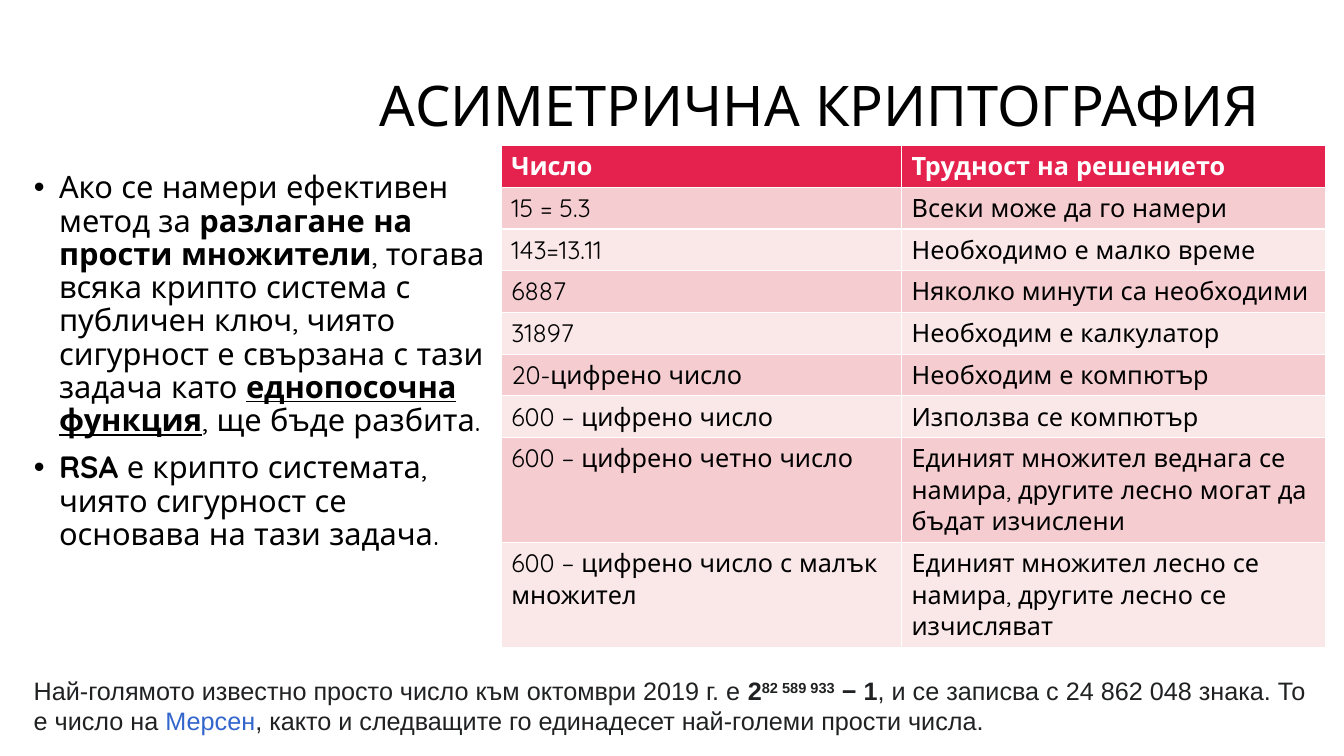
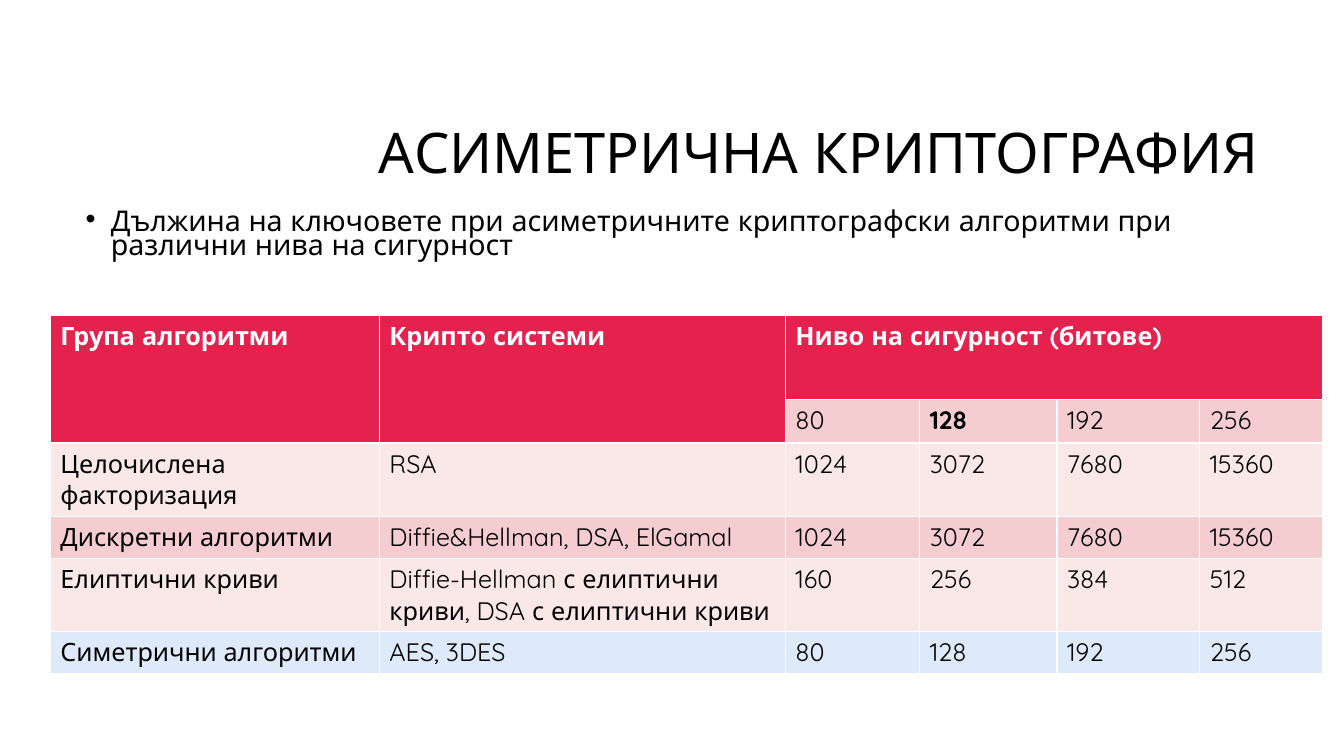
from pptx import Presentation
from pptx.dml.color import RGBColor
from pptx.enum.text import MSO_ANCHOR, MSO_AUTO_SIZE, PP_ALIGN
from pptx.util import Pt

FONT = "Quicksand"
BLACK, WHITE, INK, LINK = "000000", "FFFFFF", "202122", "3366CC"
HEADER, BAND_DARK, BAND_LIGHT, BAND_BLUE = "E5224E", "F5CDD0", "FAE8E9", "DEE9F9"
TITLE = "АСИМЕТРИЧНА КРИПТОГРАФИЯ"

DIFFICULTY = [
    ["Число", "Трудност на решението"],
    ["15 = 5.3", "Всеки може да го намери"],
    ["143=13.11", "Необходимо е малко време"],
    ["6887", "Няколко минути са необходими"],
    ["31897", "Необходим е калкулатор"],
    ["20-цифрено число", "Необходим е компютър"],
    ["600 – цифрено число", "Използва се компютър"],
    ["600 – цифрено четно число",
     "Единият множител веднага се намира, другите лесно могат да бъдат изчислени"],
    ["600 – цифрено число с малък множител",
     "Единият множител лесно се намира, другите лесно се изчисляват"],
]
KEY_LENGTHS = [
    ["Група алгоритми", "Крипто системи", "Ниво на сигурност (битове)", "", "", ""],
    ["", "", "80", "128", "192", "256"],
    ["Целочислена факторизация", "RSA", "1024", "3072", "7680", "15360"],
    ["Дискретни алгоритми", "Diffie&Hellman, DSA, ElGamal", "1024", "3072", "7680", "15360"],
    ["Елиптични криви", "Diffie-Hellman с елиптични криви, DSA с елиптични криви",
     "160", "256", "384", "512"],
    ["Симетрични алгоритми", "AES, 3DES", "80", "128", "192", "256"],
]


def rgb(value):
    """Turn a hex string into a colour."""
    return RGBColor.from_string(value)


def add_run(p, text, size, color=BLACK, font=FONT, bold=False, underline=False, raised=False):
    """Add one formatted run to a paragraph."""
    r = p.add_run()
    r.text = text
    r.font.name, r.font.size, r.font.bold = font, Pt(size), bold
    r.font.color.rgb = rgb(color)
    if underline:
        r.font.underline = True
    if raised:
        r._r.get_or_add_rPr().set("baseline", "30000")


def place(sp, box):
    """Move a shape to a box given in points."""
    sp.left, sp.top, sp.width, sp.height = (Pt(v) for v in box)


def add_title(s, box):
    """Fill the title placeholder, right-aligned in its box."""
    sp = s.shapes.title
    place(sp, box)
    tf = sp.text_frame
    tf.auto_size, tf.vertical_anchor = MSO_AUTO_SIZE.NONE, MSO_ANCHOR.MIDDLE
    p = tf.paragraphs[0]
    p.alignment, p.line_spacing = PP_ALIGN.RIGHT, 0.9
    add_run(p, TITLE, 40)


def add_bullets(s, box, items, size, spacing):
    """Fill the body placeholder with bulleted paragraphs of runs."""
    sp = s.placeholders[1]
    place(sp, box)
    tf = sp.text_frame
    tf.auto_size = MSO_AUTO_SIZE.NONE
    for i, runs in enumerate(items):
        p = tf.add_paragraph() if i else tf.paragraphs[0]
        p.line_spacing, p.space_before = spacing, Pt(10 if i else 0)
        pPr = p._p.get_or_add_pPr()
        pPr.set("marL", str(Pt(18)))
        pPr.set("indent", str(-Pt(18)))
        for text, style in runs:
            add_run(p, text, size, **style)


def add_grid(s, left, top, widths, heights, rows, fills, bold_cells=(), merges=()):
    """Add a table with one fill per row and a white bold header."""
    frame = s.shapes.add_table(len(rows), len(widths), Pt(left), Pt(top),
                               Pt(sum(widths)), Pt(sum(heights)))
    table = frame.table
    for column, width in zip(table.columns, widths):
        column.width = Pt(width)
    for row, height in zip(table.rows, heights):
        row.height = Pt(height)
    for i, row in enumerate(rows):
        for j, text in enumerate(row):
            cell = table.cell(i, j)
            cell.fill.solid()
            cell.fill.fore_color.rgb = rgb(fills[i])
            if text:
                add_run(cell.text_frame.paragraphs[0], text, 18,
                        BLACK if i else WHITE, bold=i == 0 or (i, j) in bold_cells)
    for start, end in merges:
        table.cell(*start).merge(table.cell(*end))


def add_note(s, box, runs):
    """Add a wrapped text box made of one paragraph."""
    sp = s.shapes.add_textbox(*(Pt(v) for v in box))
    tf = sp.text_frame
    tf.word_wrap = True
    for text, style in runs:
        add_run(tf.paragraphs[0], text, 18, font="Arial", **{"color": INK, **style})


def build_difficulty(prs):
    """Build the slide on how hard factoring is."""
    s = prs.slides.add_slide(prs.slide_layouts[1])
    add_title(s, (229, 27, 678, 101))
    add_bullets(s, (17, 119.5, 341, 317), [
        [("Ако се намери ефективен метод за ", {}),
         ("разлагане на прости множители", {"bold": True}),
         (", тогава всяка крипто система с публичен ключ, чиято сигурност е свързана "
          "с тази задача като ", {}),
         ("еднопосочна функция", {"bold": True, "underline": True}),
         (", ще бъде разбита.", {})],
        [("RSA ", {"bold": True}),
         ("е крипто системата, чиято сигурност се основава на тази задача.", {})],
    ], 22, 0.9)
    fills = [HEADER] + [BAND_DARK, BAND_LIGHT] * 4
    add_grid(s, 358, 104, [286, 303], [29.5] * 9, DIFFICULTY, fills)
    add_note(s, (17, 479, 928, 51), [
        ("Най-голямото известно просто число към октомври 2019 г. е ", {}),
        ("2", {"bold": True}),
        ("82 589 933", {"bold": True, "raised": True}),
        (" − 1", {"bold": True}),
        (", и се записва с 24 862 048 знака. То е число на ", {}),
        ("Мерсен", {"color": LINK}),
        (", както и следващите го единадесет най-големи прости числа.", {}),
    ])


def build_key_lengths(prs):
    """Build the slide on key lengths by security level."""
    s = prs.slides.add_slide(prs.slide_layouts[1])
    add_title(s, (228, 60.5, 678, 101))
    add_bullets(s, (54, 148, 852, 41), [
        [("Дължина на ключовете при асиметричните криптографски алгоритми при "
          "различни нива на сигурност", {})],
    ], 20.4, 0.7)
    fills = [HEADER, BAND_DARK, BAND_LIGHT, BAND_DARK, BAND_LIGHT, BAND_BLUE]
    add_grid(s, 36, 225.5, [235, 290, 96, 98, 102, 88], [60, 31] + [30] * 4,
             KEY_LENGTHS, fills, bold_cells=[(1, 3)],
             merges=[((0, 0), (1, 0)), ((0, 1), (1, 1)), ((0, 2), (0, 5))])


def main():
    """Build and save the presentation."""
    prs = Presentation()
    prs.slide_width, prs.slide_height = Pt(960), Pt(540)
    build_difficulty(prs)
    build_key_lengths(prs)
    prs.save("out.pptx")


if __name__ == "__main__":
    main()
